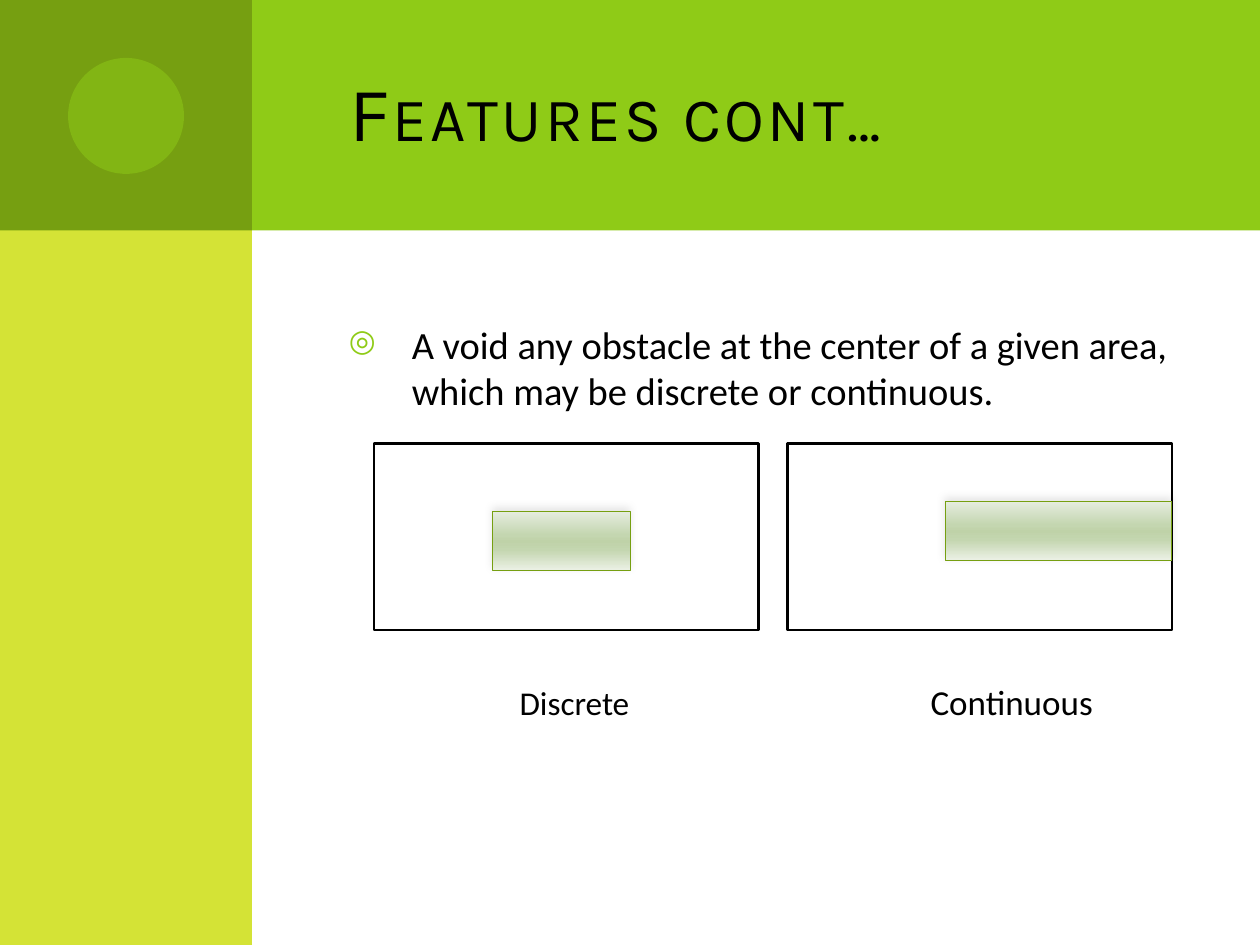
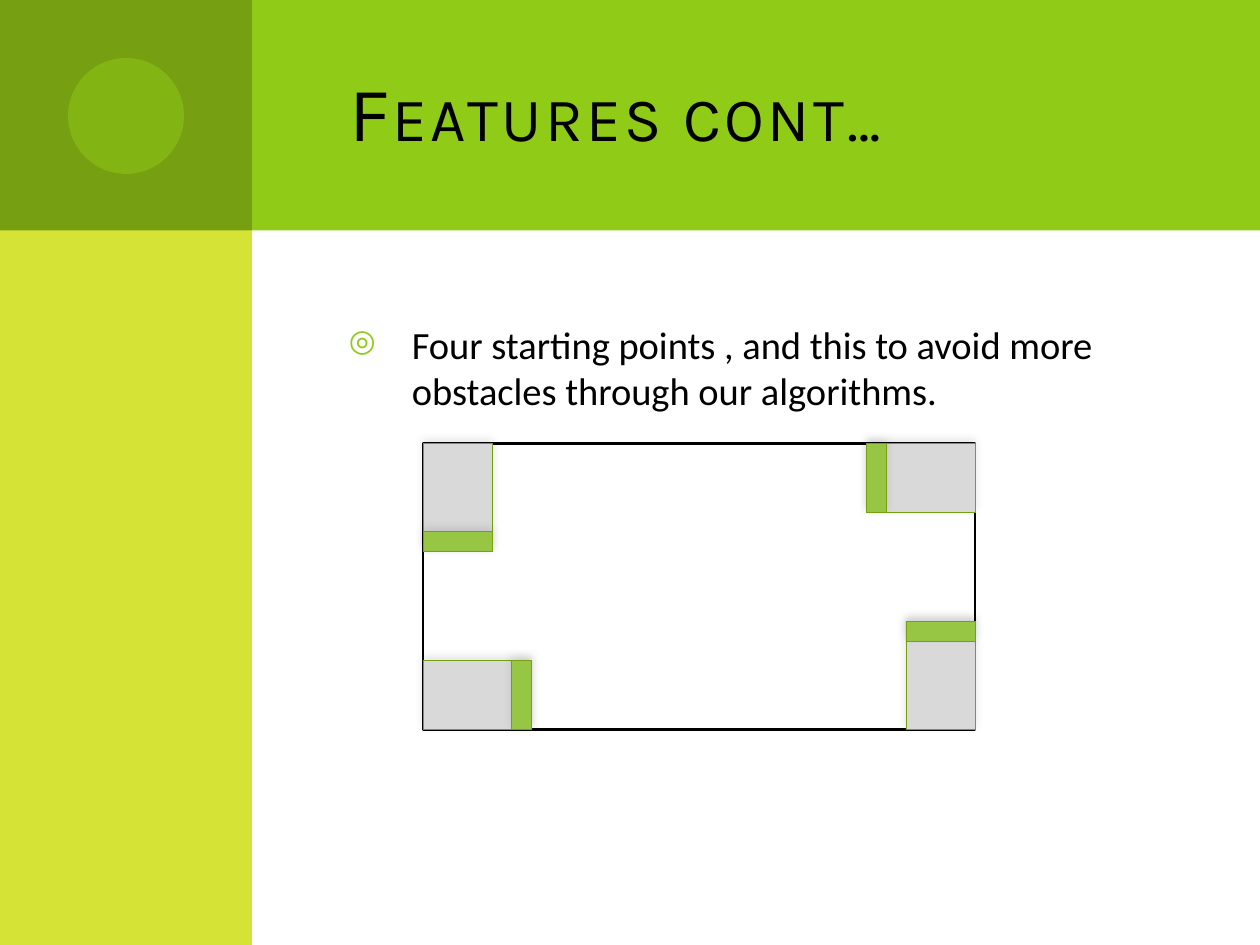
from dataclasses import dataclass

from lxml import etree
from pptx import Presentation, util as u
from pptx.dml.color import RGBColor
from pptx.enum import shapes, text
from pptx.oxml import ns

COLUMNS, ROWS = 100, 75
CELL = u.Inches(10) // COLUMNS
FRAME_TOP = 35.2
ROBOT_WIDTH, ROBOT_LENGTH, BUMPER = 5.5, 8.6, 1.6


@dataclass(frozen=True)
class Theme:
    band: str = "8FCB17"
    side: str = "D4E336"
    corner: str = "769F11"
    paper: str = "FFFFFF"
    ink: str = "000000"
    robot: str = "D9D9D9"
    bumper: str = "97C644"
    obstacle: tuple = ((0, "E6EDE0"), (40, "C4D6B0"), (50, "BFD2A8"),
                       (65, "C4D6B0"), (100, "ECF1E6"))
    title_font: str = "Karla"
    body_font: str = "Calibri"
    title_size: int = 44
    body_size: int = 22
    frame_line: float = 1.29
    thin_line: float = 0.5


THEME = Theme()


def cells(*lengths):
    return [round(length * CELL) for length in lengths]


def child(parent, tag, **attributes):
    node = etree.SubElement(parent, ns.qn(tag))
    for name, value in attributes.items():
        node.set(name, str(value))
    return node


def add_block(page, place, fill, kind=shapes.MSO_SHAPE.RECTANGLE):
    block = page.shapes.add_shape(kind, *cells(*place))
    block.shadow.inherit = False
    block.fill.solid()
    block.fill.fore_color.rgb = RGBColor.from_string(fill)
    block.line.fill.background()
    return block


def outline(block, colour, width):
    block.line.color.rgb = RGBColor.from_string(colour)
    block.line.width = u.Pt(width)


def add_frame(page, place):
    outline(add_block(page, place, THEME.paper), THEME.ink, THEME.frame_line)


def add_raised(page, place, fill):
    block = add_block(page, place, fill)
    outline(block, THEME.corner, THEME.thin_line)
    effects = block.element.spPr.find(ns.qn("a:effectLst"))
    shadow = child(effects, "a:outerShdw", blurRad=u.Pt(5), dist=u.Pt(2),
                   dir=267 * 60000, rotWithShape=0)
    child(child(shadow, "a:srgbClr", val=THEME.ink), "a:alpha", val=10000)
    return block


def add_obstacle(page, place):
    block = add_raised(page, place, THEME.paper)
    block.fill.gradient()
    block.fill.gradient_angle = 270
    stops = next(block.element.spPr.iter(ns.qn("a:gsLst")))
    for stop in list(stops):
        stops.remove(stop)
    for share, colour in THEME.obstacle:
        child(child(stops, "a:gs", pos=share * 1000), "a:srgbClr", val=colour)


def add_robot(page, centre_x, centre_y, across, along):
    reach = (ROBOT_LENGTH - BUMPER) / 2
    parts = ((0, ROBOT_LENGTH, THEME.robot), (reach, BUMPER, THEME.bumper))
    for shift, length, fill in parts:
        x, y = centre_x + across * shift, centre_y + along * shift
        place = x - ROBOT_WIDTH / 2, y - length / 2, ROBOT_WIDTH, length
        part = add_raised(page, place, fill)
        part.rotation = 270 if across else 0


def style_run(para, font, size):
    for span in para.runs:
        span.font.name = font
        span.font.size = u.Pt(size)
        span.font.color.rgb = RGBColor.from_string(THEME.ink)


def add_text(page, place, words, size):
    box = page.shapes.add_textbox(*cells(*place))
    box.text_frame.word_wrap = True
    para = box.text_frame.paragraphs[0]
    para.text = words
    style_run(para, THEME.body_font, size)
    return box


def add_bullet(page, words):
    box = add_text(page, (26.7, 25, 68.3, 10), words, THEME.body_size)
    marks = box.text_frame.paragraphs[0]._p.get_or_add_pPr()
    marks.set("marL", str(u.Inches(0.5)))
    marks.set("indent", str(-u.Inches(0.5)))
    child(child(marks, "a:buClr"), "a:srgbClr", val=THEME.band)
    child(marks, "a:buSzPct", val=80000)
    child(marks, "a:buChar", char="◎")


def add_label(page, centre, words, size):
    box = add_text(page, (centre - 10, 53.2, 20, 5), words, size)
    box.text_frame.vertical_anchor = text.MSO_ANCHOR.MIDDLE
    box.text_frame.paragraphs[0].alignment = text.PP_ALIGN.CENTER


def move_bands_to_layout(page):
    bands = [
        add_block(page, (5, 0, 95, 18.3), THEME.band),
        add_block(page, (0, 0, 20, ROWS), THEME.side),
        add_block(page, (0, 0, 20, 18.3), THEME.corner),
        add_block(page, (5.4, 4.6, 9.2, 9.2), THEME.band, shapes.MSO_SHAPE.OVAL),
    ]
    colour = next(bands[-1].element.spPr.iter(ns.qn("a:srgbClr")))
    child(colour, "a:alpha", val=50000)
    tree = page.slide_layout.shapes.element
    for order, band in enumerate(bands):
        band.element.nvSpPr.cNvPr.set("id", str(100 + order))
        tree.insert(2 + order, band.element)


def add_page(deck, heading, bullet):
    page = deck.slides.add_slide(deck.slide_layouts[5])
    title = page.shapes.title
    title.left, title.top, title.width, title.height = cells(26.7, 2.5, 68.3, 12.5)
    frame = title.text_frame
    frame.text = heading
    frame.word_wrap = True
    frame.auto_size = text.MSO_AUTO_SIZE.NONE
    frame.vertical_anchor = text.MSO_ANCHOR.MIDDLE
    para = frame.paragraphs[0]
    para.alignment = text.PP_ALIGN.LEFT
    style_run(para, THEME.title_font, THEME.title_size)
    for span in para.runs:
        marks = span._r.get_or_add_rPr()
        marks.set("cap", "small")
        marks.set("spc", "200")
    add_bullet(page, bullet)
    return page


def draw_obstacles(page):
    for left in (29.7, 62.5):
        add_frame(page, (left, FRAME_TOP, 30.5, 14.8))
    add_obstacle(page, (39.1, 40.6, 10.9, 4.7))
    add_obstacle(page, (75, 39.8, 18, 4.7))
    add_label(page, 45.6, "Discrete", 19)
    add_label(page, 80.3, "Continuous", 20)


def draw_starting_points(page):
    left, width, height = 33.6, 43.8, 22.7
    right, bottom = left + width, FRAME_TOP + height
    half, reach = ROBOT_WIDTH / 2, ROBOT_LENGTH / 2
    add_frame(page, (left, FRAME_TOP, width, height))
    add_robot(page, left + half, FRAME_TOP + reach, 0, 1)
    add_robot(page, right - half, bottom - reach, 0, -1)
    add_robot(page, right - reach, FRAME_TOP + half, -1, 0)
    add_robot(page, left + reach, bottom - half, 1, 0)


def main():
    deck = Presentation()
    deck.slide_width, deck.slide_height = COLUMNS * CELL, ROWS * CELL
    heading = "Features cont…"
    first = add_page(deck, heading, "A void any obstacle at the center of a given "
                     "area, which may be discrete or continuous.")
    move_bands_to_layout(first)
    draw_obstacles(first)
    second = add_page(deck, heading, "Four starting points , and this to avoid more "
                      "obstacles through our algorithms.")
    draw_starting_points(second)
    deck.save("out.pptx")


if __name__ == "__main__":
    main()
